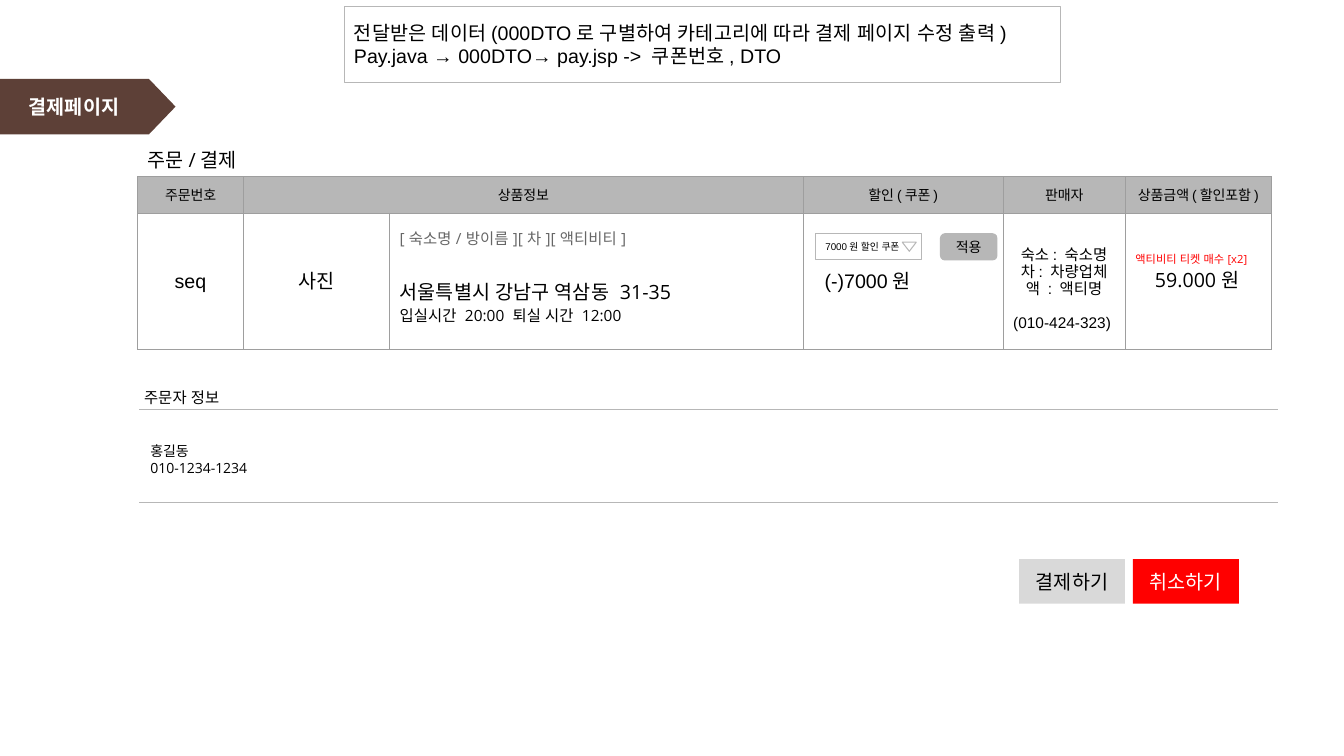
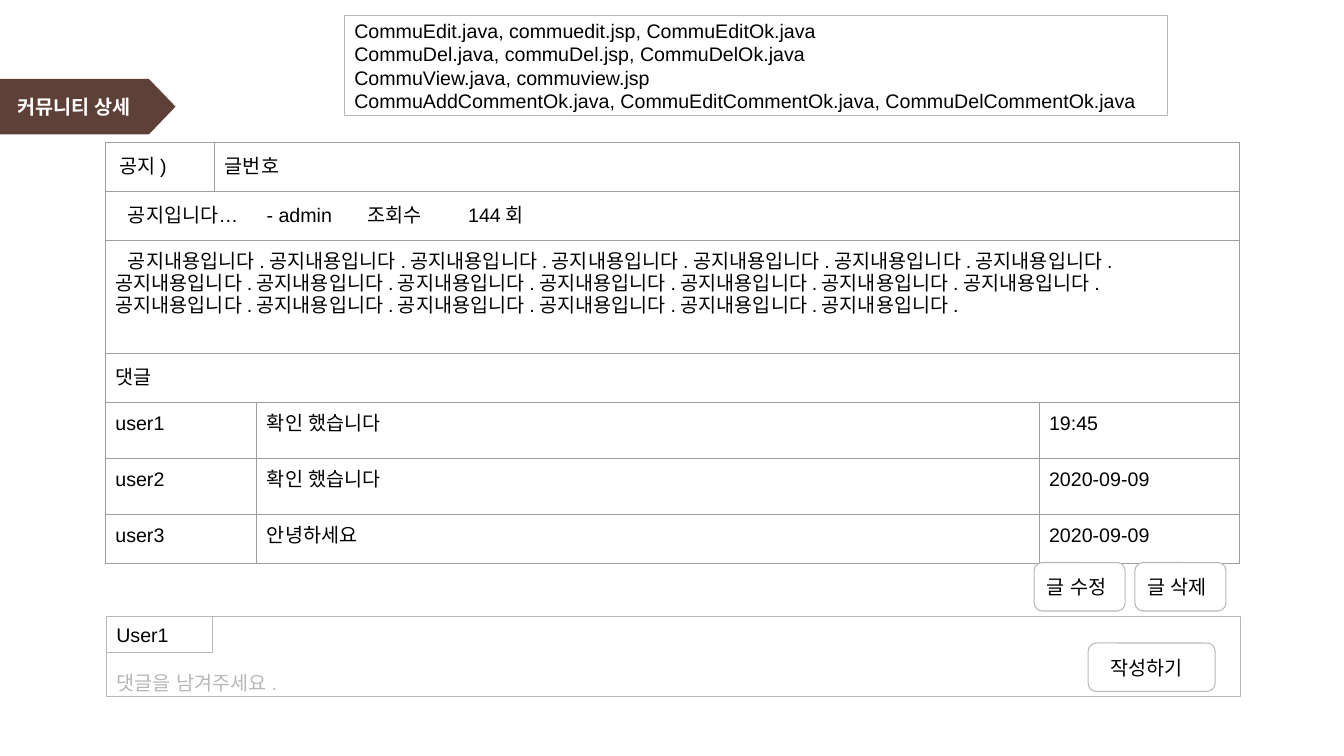
from lxml.etree import SubElement
from pptx import Presentation
from pptx.dml.color import RGBColor
from pptx.enum.shapes import MSO_CONNECTOR as Connector, MSO_SHAPE as Shape
from pptx.enum.text import MSO_ANCHOR as Anchor, PP_ALIGN as Align
from pptx.oxml.ns import qn
from pptx.util import Pt

BLACK, WHITE, BROWN, RED = "000000", "FFFFFF", "5D4037", "FF0000"
GRAY, LIGHT_GRAY, DARK_GRAY, BORDER = "B7B7B7", "D9D9D9", "666666", "9E9E9E"
SANS, ARIAL = "Open Sans", "Arial"
INSET = 7.2
HAIRLINE = 0.75


def paint(color_format, color):
    color_format.rgb = RGBColor.from_string(color)


def fill_with(fill, color):
    if color is None:
        fill.background()
    else:
        fill.solid()
        paint(fill.fore_color, color)


def add_text(frame, text, size=14, color=BLACK, font=ARIAL, bold=False,
             align=Align.LEFT, before=0, spacing=None, indent=0, tabs=()):
    """Append one paragraph per line of text to the frame."""
    for line in text.split("\n"):
        paragraph = frame.paragraphs[0]
        if paragraph.runs:
            paragraph = frame.add_paragraph()
        paragraph.alignment = align
        paragraph.space_before = Pt(before)
        if spacing:
            paragraph.line_spacing = Pt(spacing)
        properties = paragraph._p.get_or_add_pPr()
        properties.set("indent", str(Pt(indent)))
        if tabs:
            stops = SubElement(properties, qn("a:tabLst"))
            for position in tabs:
                SubElement(stops, qn("a:tab"), pos=str(Pt(position)), algn="l")
        run = paragraph.add_run()
        run.text = line
        run.font.size = Pt(size)
        run.font.bold = bold
        run.font.name = font
        paint(run.font.color, color)
        SubElement(run._r.get_or_add_rPr(), qn("a:ea"), typeface=font)


def set_frame(frame, anchor=Anchor.MIDDLE, left=INSET, right=INSET, bottom=0):
    frame.word_wrap = True
    frame.vertical_anchor = anchor
    frame.margin_left, frame.margin_right = Pt(left), Pt(right)
    frame.margin_top, frame.margin_bottom = 0, Pt(bottom)


def add_box(slide, left, top, width, height, text="", kind=Shape.RECTANGLE,
            fill=WHITE, line=GRAY, frame=None, **text_format):
    shape = slide.shapes.add_shape(kind, Pt(left), Pt(top), Pt(width), Pt(height))
    shape.shadow.inherit = False
    fill_with(shape.fill, fill)
    fill_with(shape.line.fill, line)
    if line:
        shape.line.width = Pt(HAIRLINE)
    set_frame(shape.text_frame, **(frame or {}))
    if text:
        add_text(shape.text_frame, text, **text_format)
    return shape


def add_label(slide, left, top, width, height, text, **text_format):
    label = slide.shapes.add_textbox(Pt(left), Pt(top), Pt(width), Pt(height))
    set_frame(label.text_frame)
    add_text(label.text_frame, text, **text_format)


def add_rule(slide, left, top, width):
    rule = slide.shapes.add_connector(
        Connector.STRAIGHT, Pt(left), Pt(top), Pt(left + width), Pt(top))
    paint(rule.line.color, GRAY)
    rule.line.width = Pt(HAIRLINE)
    SubElement(rule._element.spPr, qn("a:effectLst"))


def add_grid(slide, left, top, widths, heights):
    """Add a plain bordered table with the given column widths and row heights."""
    table = slide.shapes.add_table(
        len(heights), len(widths), Pt(left), Pt(top),
        Pt(sum(widths)), Pt(sum(heights))).table
    table.first_row = table.horz_banding = False
    for column, width in zip(table.columns, widths):
        column.width = Pt(width)
    for row, height in zip(table.rows, heights):
        row.height = Pt(height)
    for cell in table.iter_cells():
        properties = cell._tc.get_or_add_tcPr()
        for side in ("a:lnL", "a:lnR", "a:lnT", "a:lnB"):
            edge = SubElement(properties, qn(side), w=str(Pt(HAIRLINE)))
            SubElement(SubElement(edge, qn("a:solidFill")), qn("a:srgbClr"), val=BORDER)
        fill_with(cell.fill, None)
        cell.margin_left = cell.margin_right = Pt(INSET)
        cell.margin_top = cell.margin_bottom = Pt(INSET)
    return table


def fill_cell(cell, text, anchor=Anchor.MIDDLE, top=None, **text_format):
    cell.vertical_anchor = anchor
    if top is not None:
        cell.margin_top, cell.margin_bottom = Pt(top), 0
    add_text(cell.text_frame, text, **text_format)


def add_page(presentation, title, note, note_box):
    """Add a slide with its brown title tag and the note box above the content."""
    slide = presentation.slides.add_slide(presentation.slide_layouts[6])
    tag = add_box(slide, 0, 56.3, 125.4, 39.8, title, Shape.PENTAGON, BROWN, None,
                  frame={"left": 0, "right": 10}, color=WHITE, font=SANS,
                  bold=True, align=Align.CENTER)
    tag.adjustments[0] = 0.48
    add_box(slide, *note_box, note, spacing=16.7)
    return slide


def add_order_table(slide, left, top):
    table = add_grid(slide, left, top, [75.6, 104.4, 295.5, 142.8, 87.2, 104.4], [26, 97.2])
    table.cell(0, 1).merge(table.cell(0, 2))
    headings = ["주문번호", "상품정보", None, "할인(쿠폰)", "판매자", "상품금액(할인포함)"]
    for column, heading in enumerate(headings):
        cell = table.cell(0, column)
        fill_with(cell.fill, GRAY)
        if heading:
            fill_cell(cell, heading, size=10, align=Align.CENTER)

    number, photo, product, discount, seller, price = (
        table.cell(1, column) for column in range(len(headings)))
    fill_cell(number, "seq", align=Align.CENTER)
    fill_cell(photo, "사진", align=Align.CENTER)
    fill_cell(product, "[숙소명/방이름][차][액티비티]", Anchor.TOP, 10,
              size=11, font=SANS, color=DARK_GRAY)
    add_text(product.text_frame, "서울특별시 강남구 역삼동 31-35", font=SANS, before=21)
    add_text(product.text_frame, "입실시간 20:00 퇴실 시간 12:00", size=11, font=SANS)
    fill_cell(discount, "(-)7000원", indent=8)
    fill_cell(seller, "숙소: 숙소명\n차: 차량업체\n액 : 액티명", Anchor.TOP, 23.5,
              size=11, align=Align.CENTER)
    add_text(seller.text_frame, "(010-424-323)", size=11, before=12)
    fill_cell(price, "액티비티 티켓 매수[x2]", Anchor.TOP, 27, size=8, font=SANS, color=RED)
    add_text(price.text_frame, "59.000원", font=SANS, indent=14)


def add_coupon_picker(slide, left, top):
    height = 18.7
    add_box(slide, left, top, 75.6, height, "7000원 할인 쿠폰", size=7)
    arrow = add_box(slide, left + 62, top + 6, 10, 6.5, kind=Shape.ISOSCELES_TRIANGLE)
    arrow.rotation = 180
    add_box(slide, left + 89.3, top, 40.3, height, "적용", Shape.ROUNDED_RECTANGLE, GRAY,
            frame={"left": 0, "right": 0}, size=10, align=Align.CENTER)


def add_customer(slide, left, top, width):
    add_label(slide, left - 3.6, top, 94, 28, "주문자 정보", size=11, font=SANS)
    for offset in (22.6, 89):
        add_rule(slide, left, top + offset, width)
    add_label(slide, left + 1, top + 38.9, 474, 39, "홍길동\n010-1234-1234",
              size=10, font=SANS, spacing=12)


def add_payment_buttons(slide, left, top):
    buttons = [("결제하기", LIGHT_GRAY, BLACK), ("취소하기", RED, WHITE)]
    for index, (text, fill, color) in enumerate(buttons):
        add_box(slide, left + index * 81.3, top, 75.6, 31.7, text, fill=fill, line=None,
                color=color, font=SANS, align=Align.CENTER)


def add_post_table(slide, left, top):
    comments = [("user1", "확인 했습니다", "19:45"),
                ("user2", "확인 했습니다", "2020-09-09"),
                ("user3", "안녕하세요", "2020-09-09")]
    table = add_grid(slide, left, top, [78.2, 30.1, 558.7, 143],
                     [35, 35, 80.7, 35, 40, 40, 35])
    table.cell(0, 1).merge(table.cell(0, 3))
    for row in (1, 2, 3):
        table.cell(row, 0).merge(table.cell(row, 3))
    fill_cell(table.cell(0, 0), "공지)", indent=3)
    fill_cell(table.cell(0, 1), "글번호")
    fill_cell(table.cell(1, 0), "공지입니다…\t- admin\t조회수\t144회",
              indent=9, tabs=(466, 528, 577))
    fill_cell(table.cell(2, 0), "공지내용입니다." * 20, Anchor.TOP, indent=9)
    fill_cell(table.cell(3, 0), "댓글")
    for row, comment in enumerate(comments, start=4):
        table.cell(row, 0).merge(table.cell(row, 1))
        for column, text in zip((0, 2, 3), comment):
            fill_cell(table.cell(row, column), text, Anchor.TOP)


def add_post_buttons(slide, left, top):
    for index, text in enumerate(["글 수정", "글 삭제"]):
        add_box(slide, left + index * 72, top, 65, 34.6, text, Shape.ROUNDED_RECTANGLE)


def add_comment_form(slide, left, top, width, height):
    add_box(slide, left, top, width, height, "댓글을 남겨주세요.",
            frame={"anchor": Anchor.BOTTOM, "bottom": 1.5}, color=GRAY)
    add_box(slide, left, top, 75.6, 25.2, "User1")
    add_box(slide, left + width - 108.7, top + 18.7, 90.7, 34.6, "작성하기",
            Shape.ROUNDED_RECTANGLE, indent=7)


def build_payment_page(presentation):
    note = ("전달받은 데이터(000DTO로 구별하여 카테고리에 따라 결제 페이지 수정 출력)\n"
            "Pay.java → 000DTO→ pay.jsp -> 쿠폰번호, DTO")
    slide = add_page(presentation, "결제페이지", note, (245.8, 4.5, 512, 54.5))
    add_label(slide, 98.3, 98.3, 90, 32, "주문/결제", font=SANS)
    add_order_table(slide, 98.3, 126.2)
    add_coupon_picker(slide, 582.5, 167)
    add_customer(slide, 99.4, 270, 813.6)
    add_payment_buttons(slide, 728, 399.5)


def build_community_page(presentation):
    note = ("CommuEdit.java, commuedit.jsp, CommuEditOk.java\n"
            "CommuDel.java, commuDel.jsp, CommuDelOk.java\n"
            "CommuView.java, commuview.jsp\n"
            "CommuAddCommentOk.java, CommuEditCommentOk.java, CommuDelCommentOk.java")
    slide = add_page(presentation, "커뮤니티 상세", note, (246, 11.2, 588, 71.3))
    add_post_table(slide, 75.2, 101.9)
    add_comment_form(slide, 76, 440.6, 810, 57.2)
    add_post_buttons(slide, 738.7, 401.8)


def main():
    presentation = Presentation()
    presentation.slide_width, presentation.slide_height = Pt(960), Pt(540)
    build_payment_page(presentation)
    build_community_page(presentation)
    presentation.save("out.pptx")


if __name__ == "__main__":
    main()
